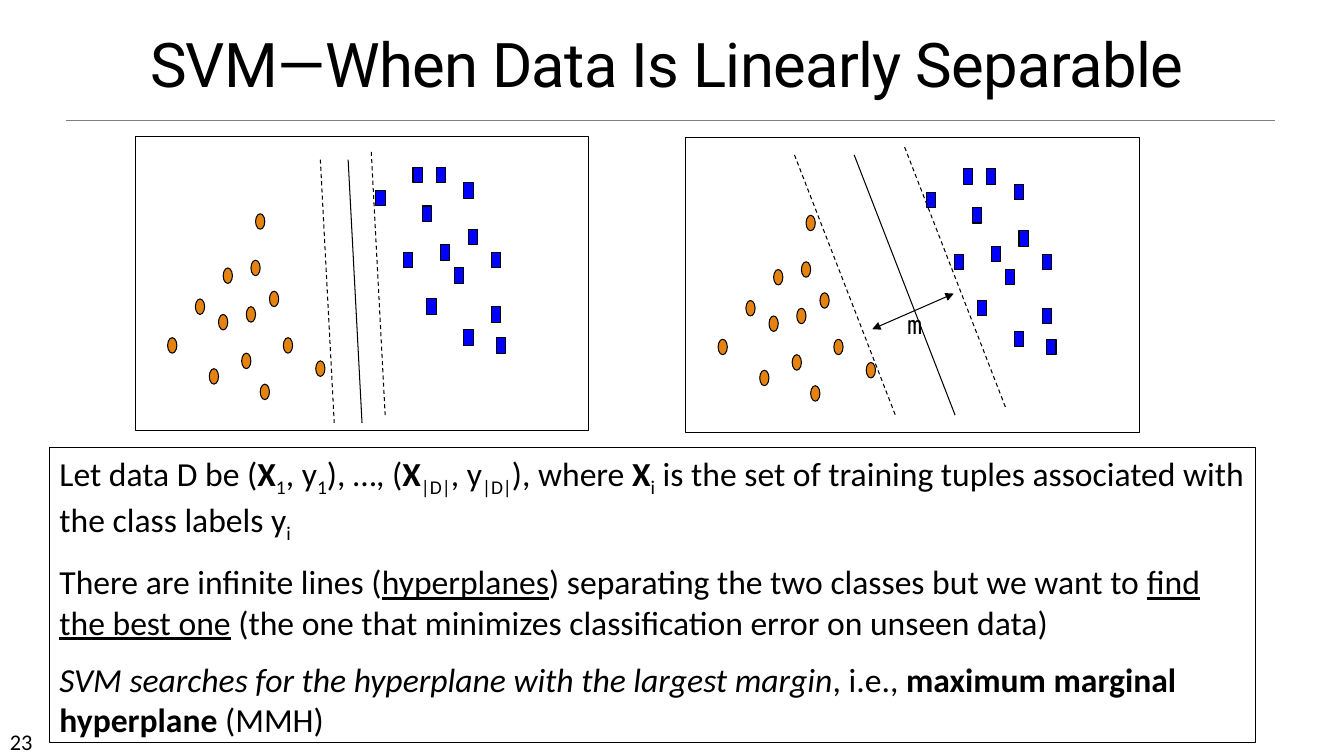
from lxml import etree
from pptx import Presentation
from pptx.dml.color import RGBColor
from pptx.enum.dml import MSO_LINE
from pptx.enum.shapes import MSO_CONNECTOR, MSO_SHAPE
from pptx.enum.text import MSO_ANCHOR, PP_ALIGN
from pptx.oxml.ns import qn
from pptx.util import Inches, Pt

DASH = MSO_LINE.DASH
STRAIGHT = MSO_CONNECTOR.STRAIGHT
OVAL = MSO_SHAPE.OVAL
RECTANGLE = MSO_SHAPE.RECTANGLE
TOP, BOTTOM = MSO_ANCHOR.TOP, MSO_ANCHOR.BOTTOM
LEFT, CENTER = PP_ALIGN.LEFT, PP_ALIGN.CENTER

PANEL_COLUMNS, PANEL_ROWS = 98, 38
COLUMN, ROW = 4.5 / PANEL_COLUMNS, 2.92 / PANEL_ROWS
MARK_SIZE = 2

CIRCLES = [
    (16, 30), (18, 23), (7, 26), (13, 21), (23, 28), (19, 17), (24, 22),
    (25, 16), (29, 20), (32, 26), (27, 32), (39, 29), (26, 10),
]
SQUARES = [
    (58, 15), (52, 7), (60, 4), (63, 21), (62, 9), (66, 14), (65, 4),
    (71, 6), (69, 17), (72, 12), (71, 25), (77, 15), (77, 22), (78, 26),
]
SMALL_MARGIN = [
    ((51, 2), (54, 36), DASH),
    ((40, 3), (43, 37), DASH),
    ((46, 3), (49, 37), None),
]
LARGE_MARGIN = [
    ((23.5, 2.2), (45.3, 35.8), DASH),
    ((47.3, 1.2), (69.1, 34.8), DASH),
    ((36.4, 2.2), (58.2, 35.8), None),
]
PANELS = [((29.2, 17.6), SMALL_MARGIN), ((148.1, 17.8), LARGE_MARGIN)]

BOLD, ITALIC, UNDERLINE, SUBSCRIPT = "bold", "italic", "underline", "subscript"
EXPLANATION = [
    [
        ("Let data D be (", None), ("X", BOLD), ("1", SUBSCRIPT), (", y", None),
        ("1", SUBSCRIPT), ("), …, (", None), ("X", BOLD), ("|D|", SUBSCRIPT),
        (", y", None), ("|D|", SUBSCRIPT), ("), where ", None), ("X", BOLD),
        ("i", SUBSCRIPT),
        (" is the set of training tuples associated with the class labels y", None),
        ("i", SUBSCRIPT),
    ],
    [
        ("There are infinite lines (", None), ("hyperplanes", UNDERLINE),
        (") separating the two classes but we want to ", None),
        ("find the best one", UNDERLINE),
        (" (the one that minimizes classification error on unseen data)", None),
    ],
    [
        ("SVM searches for the hyperplane with the largest margin", ITALIC),
        (", i.e., ", None), ("maximum marginal hyperplane", BOLD), (" (MMH)", None),
    ],
]


def color(value):
    return RGBColor.from_string(value)


def write_text(frame, paragraphs, size, font="Calibri", align=LEFT, anchor=TOP,
               line_spacing=None, space_before=0, tracking=None):
    frame.word_wrap = True
    frame.vertical_anchor = anchor
    for index, parts in enumerate(paragraphs):
        paragraph = frame.add_paragraph() if index else frame.paragraphs[0]
        paragraph.alignment = align
        paragraph.line_spacing = line_spacing
        if index:
            paragraph.space_before = Pt(space_before)
        for text, style in parts:
            run = paragraph.add_run()
            run.text = text
            run.font.name = font
            run.font.size = Pt(size)
            run.font.color.rgb = color("000000")
            if style == SUBSCRIPT:
                run.font._element.set("baseline", "-25000")
            elif style:
                setattr(run.font, style, True)
            if tracking:
                run.font._element.set("spc", str(round(tracking * 100)))


class SlideBuilder:
    ink = "000000"
    line_width = 0.75

    def __init__(self, slide):
        self.slide = slide
        self.shapes = slide.shapes
        self.origin = (0, 0)

    def start_group(self, origin):
        self.shapes = self.slide.shapes.add_group_shape().shapes
        self.origin = origin

    def end_group(self):
        self.shapes = self.slide.shapes
        self.origin = (0, 0)

    def point(self, column, row):
        left, top = self.origin
        return Inches((left + column) * COLUMN), Inches((top + row) * ROW)

    def box(self, column, row, columns, rows):
        return *self.point(column, row), Inches(columns * COLUMN), Inches(rows * ROW)

    def shape(self, kind, box, fill=None):
        shape = self.shapes.add_shape(kind, *self.box(*box))
        shape.shadow.inherit = False
        if fill:
            shape.fill.solid()
            shape.fill.fore_color.rgb = color(fill)
        else:
            shape.fill.background()
        shape.line.color.rgb = color(self.ink)
        shape.line.width = Pt(self.line_width)
        return shape

    def line(self, start, end, dash=None, ink=ink, width=line_width, arrows=False):
        connector = self.shapes.add_connector(
            STRAIGHT, *self.point(*start), *self.point(*end))
        connector.line.color.rgb = color(ink)
        connector.line.width = Pt(width)
        if dash:
            connector.line.dash_style = dash
        properties = connector._element.spPr
        if arrows:
            for tag in ("a:headEnd", "a:tailEnd"):
                etree.SubElement(properties.find(qn("a:ln")), qn(tag), type="triangle")
        etree.SubElement(properties, qn("a:effectLst"))

    def text(self, box, text, **style):
        textbox = self.shapes.add_textbox(*self.box(*box))
        write_text(textbox.text_frame, [[(text, None)]], **style)

    def panel(self, origin, separators):
        self.start_group(origin)
        for kind, fill, marks in ((OVAL, "E48312", CIRCLES),
                                  (RECTANGLE, "0000FF", SQUARES)):
            for mark in marks:
                self.shape(kind, (*mark, MARK_SIZE, MARK_SIZE), fill)
        self.shape(RECTANGLE, (0, 0, PANEL_COLUMNS, PANEL_ROWS))
        for start, end, dash in separators:
            self.line(start, end, dash)
        self.end_group()


def main():
    presentation = Presentation()
    presentation.slide_width = Inches(13.33)
    presentation.slide_height = Inches(7.5)
    slide = presentation.slides.add_slide(presentation.slide_layouts[6])
    builder = SlideBuilder(slide)

    builder.line((14.2, 15.6), (275.5, 15.6), ink="808080", width=0.5)
    builder.text((0, 93.4, 25.5, 3.9), "23", size=16)
    builder.text((16.8, -0.4, 254.4, 13.9), "SVM—When Data Is Linearly Separable",
                 size=44, font="Roboto", align=CENTER, anchor=BOTTOM,
                 line_spacing=0.85, tracking=-0.5)

    for origin, separators in PANELS:
        builder.panel(origin, separators)
    builder.line((188.4, 42.5), (206, 37.9), arrows=True)
    builder.text((193.8, 39.3, 12.6, 5.2), "m", size=18, font="DejaVu Sans Mono")

    explanation = builder.shape(RECTANGLE, (10.7, 57.8, 260.5, 38.1))
    write_text(explanation.text_frame, EXPLANATION, size=24, space_before=12)

    presentation.save("out.pptx")


if __name__ == "__main__":
    main()
